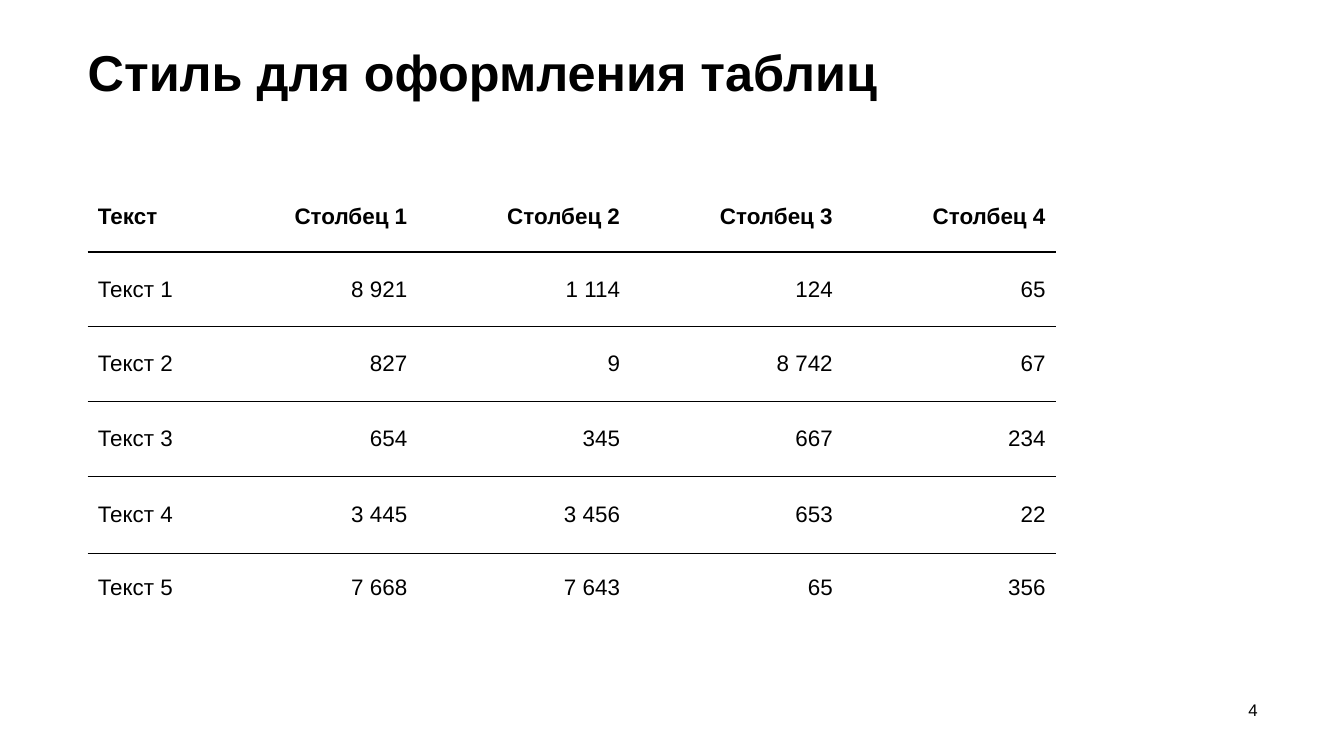
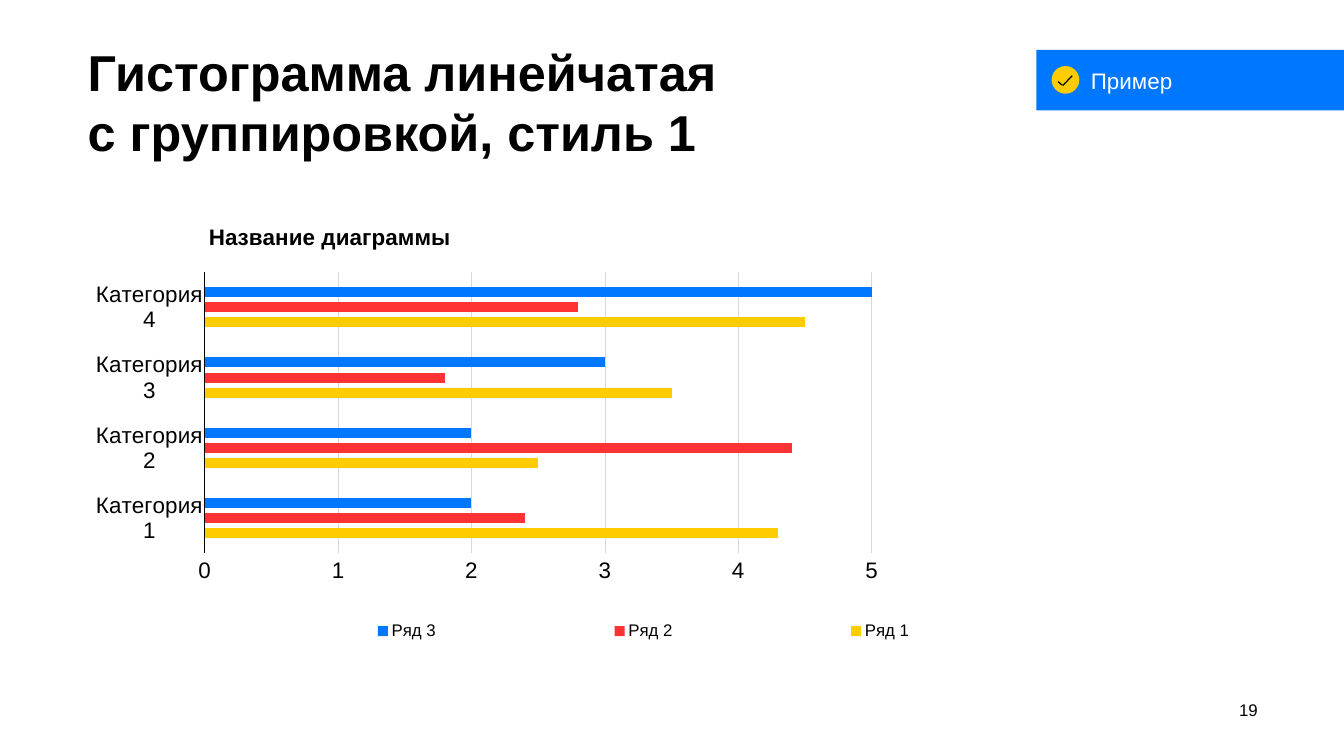
from dataclasses import dataclass
from typing import Any, NamedTuple

import pptx
import pptx.chart.data
import pptx.dml.color
import pptx.enum.chart
import pptx.enum.shapes
import pptx.enum.text
import pptx.oxml
import pptx.oxml.ns
import pptx.util
from lxml import etree

EMU_PER_PX = 9144  # 100 px to the inch
NO_GRID_STYLE = "{2D5ABB26-0587-4C30-8999-92F81FD0307C}"

Align = pptx.enum.text.PP_ALIGN
Anchor = pptx.enum.text.MSO_ANCHOR
qn = pptx.oxml.ns.qn


@dataclass(frozen=True)
class Theme:
    font: str = "Arial"
    ink: str = "000000"
    paper: str = "FFFFFF"
    blue: str = "0077FF"
    red: str = "FF3333"
    yellow: str = "FFCC00"
    grid: str = "D9D9D9"
    title_size: int = 72
    title_leading: int = 86
    body_size: int = 32
    small_size: int = 24
    heavy_rule: float = 3
    thin_rule: float = 1
    check_rule: float = 1.75


class Box(NamedTuple):
    left: int
    top: int
    width: int
    height: int


class Insets(NamedTuple):
    left: int = 0
    top: int = 0
    right: int = 0
    bottom: int = 0


class Stroke(NamedTuple):
    x1: int
    y1: int
    x2: int
    y2: int


class Series(NamedTuple):
    name: str
    values: tuple[float, ...]
    color: str


class ChartArea(NamedTuple):
    """Position inside the chart, as shares of its size."""
    x: float
    y: float
    w: float | None = None
    h: float | None = None


THEME = Theme()
SLIDE_SIZE = (2666, 1500)
TITLE_BOX = Box(174, 60, 2322, 159)
NUMBER_BOX = Box(2375, 1380, 120, 48)

TABLE_ORIGIN = (174, 359)
COLUMN_WIDTHS = (261, 393, 422, 422, 422)
ROW_HEIGHTS = (141, 148, 149, 149, 152, 136)
TABLE_ROWS = (
    ("Текст", "Столбец 1", "Столбец 2", "Столбец 3", "Столбец 4"),
    ("Текст 1", "8 921", "1 114", "124", "65"),
    ("Текст 2", "827", "9", "8 742", "67"),
    ("Текст 3", "654", "345", "667", "234"),
    ("Текст 4", "3 445", "3 456", "653", "22"),
    ("Текст 5", "7 668", "7 643", "65", "356"),
)

CHART_BOX = Box(174, 376, 2321, 963)
CATEGORIES = ("Категория 1", "Категория 2", "Категория 3", "Категория 4")
SERIES = (
    Series("Ряд 1", (4.3, 2.5, 3.5, 4.5), THEME.yellow),
    Series("Ряд 2", (2.4, 4.4, 1.8, 2.8), THEME.red),
    Series("Ряд 3", (2, 2, 3, 5), THEME.blue),
)

BADGE_BOX = Box(2056, 99, 610, 120)
BADGE_DOT = Box(2086, 131, 55, 55)
CHECK_MARK = (Stroke(2099, 162, 2107, 169), Stroke(2108, 170, 2127, 150))


def px(length: int) -> int:
    return pptx.util.Emu(length * EMU_PER_PX)


def emu(lengths: tuple[int, ...]) -> list[int]:
    return [px(length) for length in lengths]


def rgb(color: str) -> pptx.dml.color.RGBColor:
    return pptx.dml.color.RGBColor.from_string(color)


def assign(target: Any, values: dict[str, Any]) -> None:
    for attribute, value in values.items():
        setattr(target, attribute, value)


def style_font(font: Any, size: int, bold: bool = False, color: str = THEME.ink) -> None:
    assign(font, {"name": THEME.font, "size": pptx.util.Pt(size), "bold": bold})
    font.color.rgb = rgb(color)


def style_line(line: Any, color: str, width: float) -> None:
    line.color.rgb = rgb(color)
    line.width = pptx.util.Pt(width)


def set_insets(target: Any, insets: Insets) -> None:
    assign(target, {f"margin_{side}": px(inset) for side, inset in insets._asdict().items()})


def write(frame: Any, text: str, size: int, bold: bool = False,
          color: str = THEME.ink, align: Any = Align.LEFT) -> None:
    """Fill the first paragraph, turning line ends into line breaks."""
    paragraph = frame.paragraphs[0]
    paragraph.alignment = align
    for index, line in enumerate(text.splitlines()):
        if index:
            paragraph.add_line_break()
        run = paragraph.add_run()
        run.text = line
        style_font(run.font, size, bold, color)


def add_text(slide: Any, box: Box, insets: Insets, anchor: Any) -> Any:
    frame = slide.shapes.add_textbox(*emu(box)).text_frame
    assign(frame, {"word_wrap": True, "vertical_anchor": anchor})
    set_insets(frame, insets)
    return frame


def add_page(deck: Any, title: str, number: int) -> Any:
    slide = deck.slides.add_slide(deck.slide_layouts[6])
    slide.background.fill.solid()
    slide.background.fill.fore_color.rgb = rgb(THEME.paper)
    heading = add_text(slide, TITLE_BOX, Insets(top=22), Anchor.TOP)
    write(heading, title, THEME.title_size, bold=True)
    heading.paragraphs[0].line_spacing = pptx.util.Pt(THEME.title_leading)
    footer = add_text(slide, NUMBER_BOX, Insets(top=8), Anchor.MIDDLE)
    write(footer, str(number), THEME.small_size, align=Align.RIGHT)
    return slide


def set_rules(cell: Any, rules: dict[str, float]) -> None:
    """Draw horizontal cell borders, keyed by tag and listed top first."""
    properties = cell._tc.get_or_add_tcPr()
    for index, (tag, width) in enumerate(rules.items()):
        rule = etree.Element(qn(f"a:{tag}"), w=str(pptx.util.Pt(width)))
        fill = etree.SubElement(rule, qn("a:solidFill"))
        etree.SubElement(fill, qn("a:srgbClr"), val=THEME.ink)
        properties.insert(index, rule)


def row_rules(row: int) -> dict[str, float]:
    rules = {}
    if row > 0:
        rules["lnT"] = THEME.heavy_rule if row == 1 else THEME.thin_rule
    if row < len(TABLE_ROWS) - 1:
        rules["lnB"] = THEME.heavy_rule if row == 0 else THEME.thin_rule
    return rules


def add_data_table(slide: Any) -> None:
    box = Box(*TABLE_ORIGIN, sum(COLUMN_WIDTHS), sum(ROW_HEIGHTS))
    table = slide.shapes.add_table(len(TABLE_ROWS), len(COLUMN_WIDTHS), *emu(box)).table
    assign(table, {"first_row": False, "horz_banding": False})
    table._tbl.tblPr.find(qn("a:tableStyleId")).text = NO_GRID_STYLE
    for column, width in zip(table.columns, COLUMN_WIDTHS):
        column.width = px(width)
    for row, height in enumerate(ROW_HEIGHTS):
        table.rows[row].height = px(height)
        for column, text in enumerate(TABLE_ROWS[row]):
            cell = table.cell(row, column)
            cell.vertical_anchor = Anchor.MIDDLE
            set_insets(cell, Insets(left=20, right=20))
            cell.fill.background()
            set_rules(cell, row_rules(row))
            write(cell.text_frame, text, THEME.body_size, bold=row == 0,
                  align=Align.RIGHT if column else Align.LEFT)


def place(part: Any, area: ChartArea, before: tuple[str, ...], inner: bool = False) -> None:
    """Give a chart part a manual layout, put after the last of the named children."""
    for old in part.findall(qn("c:layout")):
        part.remove(old)
    layout = etree.Element(qn("c:layout"))
    manual = etree.SubElement(layout, qn("c:manualLayout"))
    if inner:
        etree.SubElement(manual, qn("c:layoutTarget"), val="inner")
    for axis in "xy":
        etree.SubElement(manual, qn(f"c:{axis}Mode"), val="edge")
    for key, share in area._asdict().items():
        if share is not None:
            etree.SubElement(manual, qn(f"c:{key}"), val=str(share))
    tags = [qn(f"c:{name}") for name in before]
    part.insert(sum(child.tag in tags for child in part), layout)


def add_bar_chart(slide: Any) -> None:
    data = pptx.chart.data.CategoryChartData()
    data.categories = CATEGORIES
    for series in SERIES:
        data.add_series(series.name, series.values)
    kind = pptx.enum.chart.XL_CHART_TYPE.BAR_CLUSTERED
    chart = slide.shapes.add_chart(kind, *emu(CHART_BOX), data).chart
    style_font(chart.font, 10)

    chart.has_title = True
    write(chart.chart_title.text_frame, "Название диаграммы", THEME.body_size, bold=True)
    chart.chart_title.include_in_layout = False
    place(chart.chart_title._element, ChartArea(0.1, 0.06), ("tx",))

    plot = chart.plots[0]
    assign(plot, {"gap_width": 300, "overlap": -50, "vary_by_categories": False})
    for bars, series in zip(plot.series, SERIES):
        bars.format.fill.solid()
        bars.format.fill.fore_color.rgb = rgb(series.color)
    place(chart._chartSpace.chart.plotArea, ChartArea(0.1, 0.17, 0.57, 0.58), (), inner=True)

    tick = pptx.enum.chart.XL_TICK_MARK
    names, scale = chart.category_axis, chart.value_axis
    assign(names, {"major_tick_mark": tick.NONE, "minor_tick_mark": tick.NONE,
                   "has_major_gridlines": False})
    assign(scale, {"major_tick_mark": tick.OUTSIDE, "minor_tick_mark": tick.NONE,
                   "minimum_scale": 0, "maximum_scale": 5, "major_unit": 1,
                   "has_major_gridlines": True})
    for axis in (names, scale):
        style_font(axis.tick_labels.font, THEME.body_size)
    style_line(names.format.line, THEME.ink, THEME.thin_rule)
    scale.format.line.fill.background()
    style_line(scale.major_gridlines.format.line, THEME.grid, THEME.thin_rule)

    chart.has_legend = True
    assign(chart.legend, {"position": pptx.enum.chart.XL_LEGEND_POSITION.BOTTOM,
                          "include_in_layout": False})
    style_font(chart.legend.font, THEME.small_size)
    place(chart.legend._element, ChartArea(0.1, 0.86, 0.75, 0.1), ("legendPos", "legendEntry"))


def add_filled(group: Any, preset: Any, box: Box, color: str) -> Any:
    shape = group.shapes.add_shape(preset, *emu(box))
    shape.shadow.inherit = False
    shape.fill.solid()
    shape.fill.fore_color.rgb = rgb(color)
    shape.line.fill.background()
    return shape


def add_example_badge(slide: Any) -> None:
    badge = slide.shapes.add_group_shape()
    preset = pptx.enum.shapes.MSO_SHAPE
    band = add_filled(badge, preset.RECTANGLE, BADGE_BOX, THEME.blue).text_frame
    assign(band, {"word_wrap": True, "vertical_anchor": Anchor.MIDDLE})
    set_insets(band, Insets(108, 24, 10, 24))
    write(band, "Пример", THEME.body_size, color=THEME.paper)
    add_filled(badge, preset.OVAL, BADGE_DOT, THEME.yellow)
    for stroke in CHECK_MARK:
        straight = pptx.enum.shapes.MSO_CONNECTOR.STRAIGHT
        line = badge.shapes.add_connector(straight, *emu(stroke))
        style_line(line.line, THEME.ink, THEME.check_rule)
        etree.SubElement(line._element.spPr, qn("a:effectLst"))


def main() -> None:
    deck = pptx.Presentation()
    deck.slide_width, deck.slide_height = emu(SLIDE_SIZE)
    add_data_table(add_page(deck, "Стиль для оформления таблиц", 4))
    chart_page = add_page(deck, "Гистограмма линейчатая\nс группировкой, стиль 1", 19)
    add_bar_chart(chart_page)
    add_example_badge(chart_page)
    deck.save("out.pptx")


if __name__ == "__main__":
    main()
